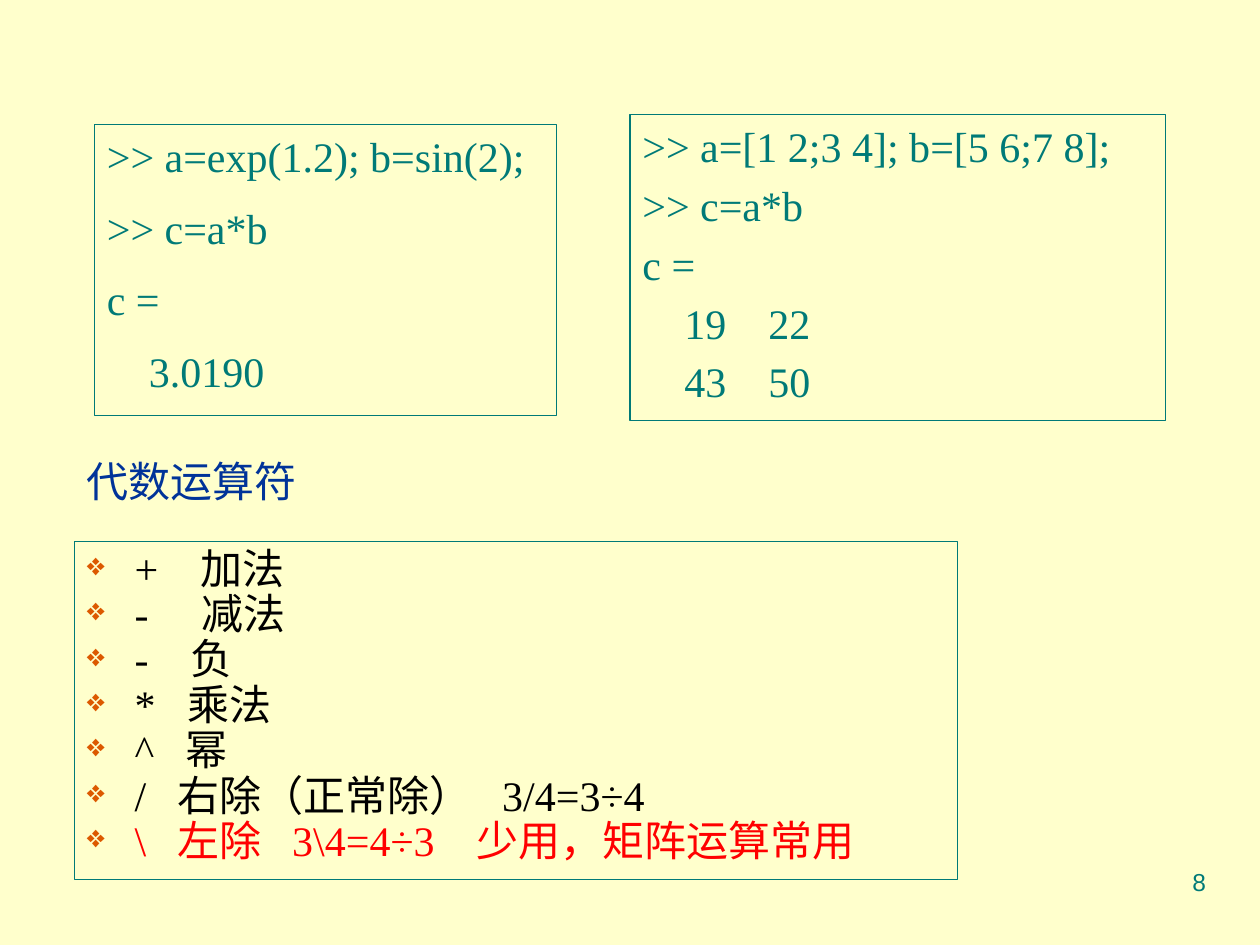
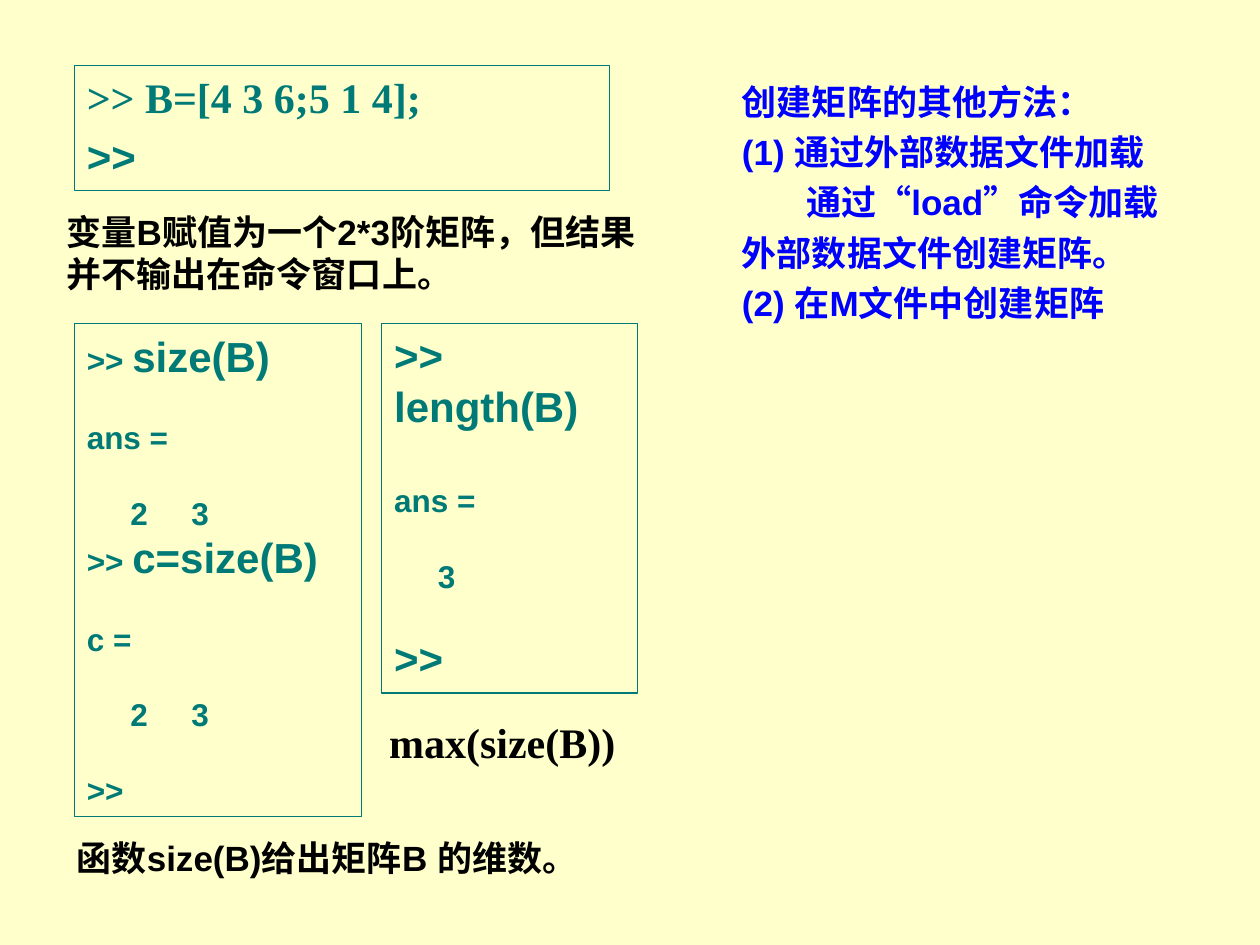
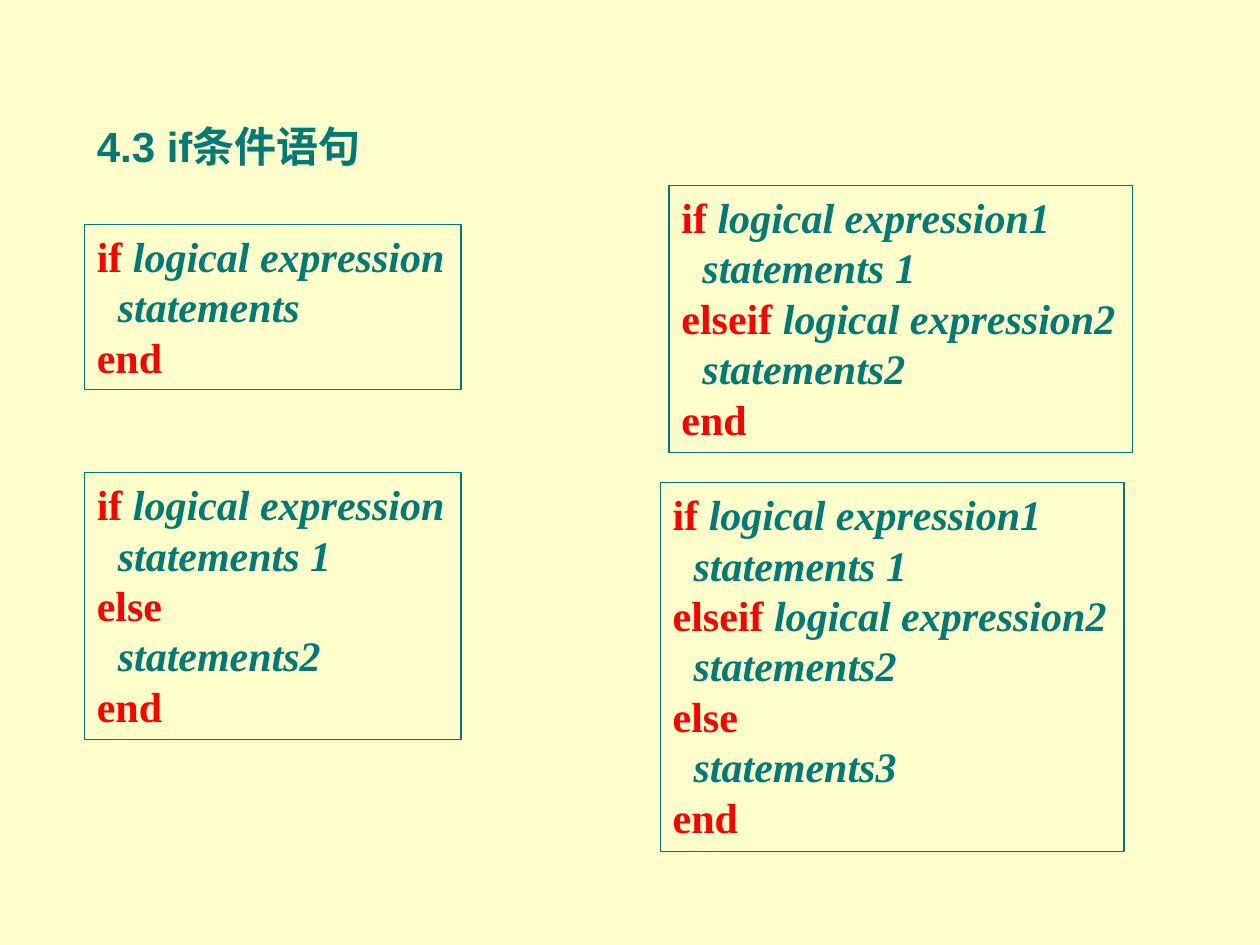
from dataclasses import dataclass, replace

from lxml.etree import SubElement as Sub
from pptx import Presentation
from pptx.dml.color import RGBColor
from pptx.enum.shapes import MSO_SHAPE as Shape
from pptx.enum.text import MSO_ANCHOR as Anchor, PP_ALIGN as Align
from pptx.oxml.ns import qn
from pptx.util import Inches, Pt

CREAM = RGBColor(0xFF, 0xFF, 0xCC)
TEAL = RGBColor(0x00, 0x7A, 0x77)
NAVY = RGBColor(0x00, 0x33, 0x99)
BLUE = RGBColor(0x00, 0x00, 0xFF)
RED = RGBColor(0xFF, 0x00, 0x00)
BLACK = RGBColor(0x00, 0x00, 0x00)
RUST = RGBColor(0xDC, 0x59, 0x00)
SANS, SERIF = "Arial", "Times New Roman"
KEYS = ("if", "elseif", "else", "end")
GAP = 21.6  # one empty 18 pt line


@dataclass(frozen=True)
class Ink:
    """The look of a run of text."""
    size: int = 24
    color: RGBColor = TEAL
    font: str = SANS
    bold: bool = False
    italic: bool = False


CODE = Ink(font=SERIF)
BIG = Ink(bold=True)
SMALL = Ink(18, bold=True)
NOTE = Ink(20, BLACK, bold=True)
WORD = Ink(color=RED, font=SERIF, bold=True)
EXPR = Ink(font=SERIF, bold=True, italic=True)


def new_slide(deck):
    slide = deck.slides.add_slide(deck.slide_layouts[6])
    slide.background.fill.solid()
    slide.background.fill.fore_color.rgb = CREAM
    return slide


def area(slide, *at):
    """Add a plain text box and return its text frame."""
    frame = slide.shapes.add_textbox(*map(Inches, at)).text_frame
    frame.word_wrap = True
    return frame


def panel(slide, *at):
    """Add a teal outlined box and return its text frame."""
    shape = slide.shapes.add_shape(Shape.RECTANGLE, *map(Inches, at))
    shape.shadow.inherit = False
    shape.fill.background()
    shape.line.color.rgb = TEAL
    shape.line.width = Pt(0.75)
    frame = shape.text_frame
    frame.word_wrap = True
    frame.vertical_anchor = Anchor.TOP
    return frame


def add_run(para, text, ink):
    run = para.add_run()
    run.text = text
    font = run.font
    font.size, font.name = Pt(ink.size), ink.font
    font.bold, font.italic = ink.bold, ink.italic
    font.color.rgb = ink.color
    return run


def add_line(frame, *runs, before=0):
    """Add a paragraph of (text, ink) runs; before is ignored on the first."""
    para = frame.paragraphs[0]
    if para.runs:
        para = frame.add_paragraph()
        para.space_before = Pt(before)
    para.alignment = Align.LEFT
    for text, ink in runs:
        add_run(para, text, ink)
    return para


def set_tab(para, pos):
    tabs = Sub(para._p.get_or_add_pPr(), qn("a:tabLst"))
    Sub(tabs, qn("a:tab"), pos=str(Inches(pos)), algn="l")


def set_bullet(para):
    props = para._p.get_or_add_pPr()
    props.set("marL", str(Inches(0.38)))
    props.set("indent", str(Inches(-0.38)))
    Sub(Sub(props, qn("a:buClr")), qn("a:srgbClr"), val=str(RUST))
    Sub(props, qn("a:buSzPct"), val="75000")
    Sub(props, qn("a:buChar"), char="❖")


def console(frame, lines, ink, before, tab=1.0):
    for text in lines:
        para = add_line(frame, (text, ink), before=before)
        if "\t" in text:
            set_tab(para, tab)


def operators(frame, rows):
    """Each row: ink colour, then words with the wide gap (pt) between them."""
    for color, first, *rest in rows:
        ink = replace(CODE, color=color)
        para = add_line(frame, (first, ink))
        set_bullet(para)
        para.line_spacing = 0.9
        for gap, word in zip(rest[::2], rest[1::2]):
            space = add_run(para, " ", ink)
            space._r.get_or_add_rPr().set("spc", str(gap * 100))
            add_run(para, word, ink)


def syntax(slide, at, lines):
    """Show an if statement with red keywords and italic expressions."""
    frame = panel(slide, *at)
    for text in lines:
        head, _, tail = text.partition(" ")
        if head not in KEYS:
            add_line(frame, (text, EXPR))
        elif tail:
            add_line(frame, (head + " ", WORD), (tail, EXPR))
        else:
            add_line(frame, (head, WORD))


def algebra(deck):
    slide = new_slide(deck)
    para = add_line(area(slide, 7.17, 6.83, 2.5, 0.52), ("8", Ink(14)))
    para.alignment = Align.RIGHT
    operators(panel(slide, 0.59, 4.3, 7.01, 2.68), [
        (BLACK, "+", 18, "加法"),
        (BLACK, "-", 24, "减法"),
        (BLACK, "-", 18, "负"),
        (BLACK, "*", 12, "乘法"),
        (BLACK, "^", 12, "幂"),
        (BLACK, "/", 12, "右除（正常除）", 12, "3/4=3÷4"),
        (RED, "\\", 12, "左除", 12, "3\\4=4÷3", 18, "少用，矩阵运算常用"),
    ])
    title = area(slide, 0.59, 3.48, 2.05, 0.67)
    title.vertical_anchor = Anchor.MIDDLE
    add_line(title, ("代数运算符", Ink(color=NAVY)))
    console(panel(slide, 0.75, 0.99, 3.67, 2.31),
            [">> a=exp(1.2); b=sin(2);", ">> c=a*b", "c =", "    3.0190"],
            CODE, 12)
    console(panel(slide, 5, 0.91, 4.25, 2.43),
            [">> a=[1 2;3 4]; b=[5 6;7 8];", ">> c=a*b", "c =",
             "    19\t22", "    43\t50"], CODE, 4.8)


def matrix(deck):
    slide = new_slide(deck)
    frame = panel(slide, 0.59, 0.52, 4.25, 0.99)
    add_line(frame, (">> B=[4 3 6;5 1 4];", replace(CODE, bold=True)))
    add_line(frame, (">>", BIG), before=4.8)
    add_line(area(slide, 0.43, 1.62, 4.72, 0.77),
             ("变量B赋值为一个2*3阶矩阵，但结果并不输出在命令窗口上。", NOTE))

    frame = panel(slide, 0.59, 2.57, 2.28, 3.91)
    for call, name in (("size(B)", "ans ="), ("c=size(B)", "c =")):
        add_line(frame, (">> ", SMALL), (call, BIG))
        console(frame, [name, "     2\t3"], SMALL, GAP, 0.83)
    add_line(frame, (">>", SMALL), before=GAP)
    add_line(area(slide, 0.51, 6.59, 4.02, 0.43),
             ("函数size(B)给出矩阵B 的维数。", NOTE))

    frame = panel(slide, 3.03, 2.57, 2.03, 2.93)
    add_line(frame, (">> length(B)", BIG))
    add_line(frame, ("ans =", SMALL), before=28.8)
    add_line(frame, ("     3", SMALL), before=GAP)
    add_line(frame, (">>", BIG), before=GAP)
    add_line(area(slide, 2.99, 5.64, 2.6, 0.5),
             ("max(size(B))", Ink(24, BLACK, SERIF, True)))

    frame = area(slide, 5.79, 0.52, 3.66, 2.1)
    for text, indent in (("创建矩阵的其他方法：", 0),
                         ("(1) 通过外部数据文件加载", 0),
                         ("通过“load”命令加载外部数据文件创建矩阵。", 0.51),
                         ("(2) 在M文件中创建矩阵", 0)):
        para = add_line(frame, (text, replace(NOTE, color=BLUE)))
        para.line_spacing = 1.2
        if indent:
            para._p.get_or_add_pPr().set("indent", str(Inches(indent)))


def branches(deck):
    slide = new_slide(deck)
    start = ["if logical expression1", "  statements 1",
             "elseif logical expression2", "  statements2"]
    syntax(slide, (5.24, 3.83, 3.68, 2.93),
           start + ["else", "  statements3", "end"])
    syntax(slide, (5.31, 1.47, 3.68, 2.12), start + ["end"])
    syntax(slide, (0.67, 1.78, 2.99, 1.31),
           ["if logical expression", "  statements", "end"])
    syntax(slide, (0.67, 3.75, 2.99, 2.12),
           ["if logical expression", "  statements 1", "else",
            "  statements2", "end"])
    add_line(area(slide, 0.67, 0.91, 2.41, 0.51), ("4.3 if条件语句", BIG))


def main():
    deck = Presentation()
    deck.slide_width, deck.slide_height = Inches(10), Inches(7.5)
    algebra(deck)
    matrix(deck)
    branches(deck)
    deck.save("out.pptx")


if __name__ == "__main__":
    main()
